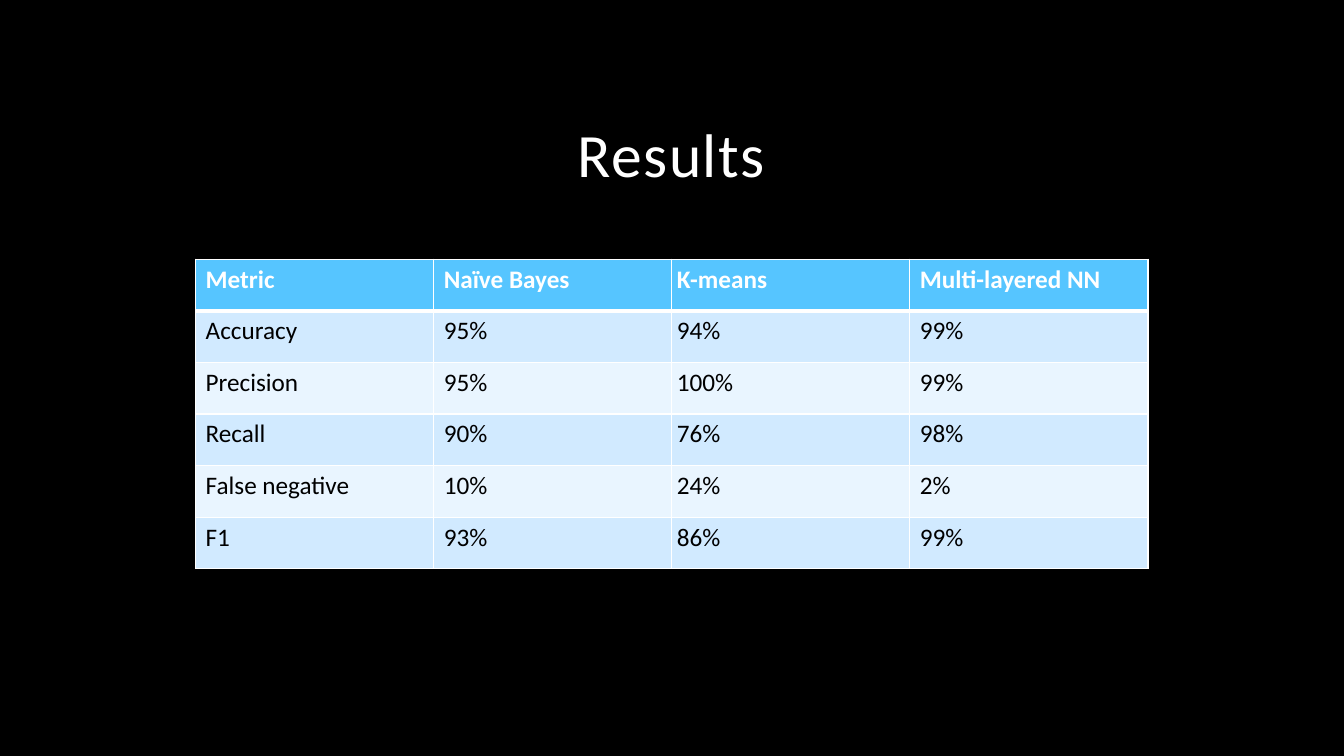
import pptx
import pptx.dml.color
import pptx.enum.text
import pptx.oxml.ns
import pptx.util
from lxml import etree

Cm = pptx.util.Cm
Pt = pptx.util.Pt
RGBColor = pptx.dml.color.RGBColor

TITLE = "Results"
RESULTS = [
    ("Metric", "Naïve Bayes", "K-means", "Multi-layered NN"),
    ("Accuracy", "95%", "94%", "99%"),
    ("Precision", "95%", "100%", "99%"),
    ("Recall", "90%", "76%", "98%"),
    ("False negative", "10%", "24%", "2%"),
    ("F1", "93%", "86%", "99%"),
]
NARROW_MARGIN_COLUMN = 2

FONT = "Calibri"
BLACK = RGBColor(0x00, 0x00, 0x00)
WHITE = RGBColor(0xFF, 0xFF, 0xFF)
HEADER_BLUE = RGBColor(0x56, 0xC5, 0xFF)
BANDS = (RGBColor(0xE9, 0xF5, 0xFF), RGBColor(0xD1, 0xEA, 0xFF))

COLUMN_WIDTH = Cm(6)
ROW_HEIGHT = Cm(1.3)


def set_borders(cell, widths):
    """Draw white borders; widths maps the sides L, R, T, B to points."""
    properties = cell._tc.get_or_add_tcPr()
    for side, width in widths.items():
        line = etree.SubElement(properties, pptx.oxml.ns.qn(f"a:ln{side}"), w=str(Pt(width)))
        fill = etree.SubElement(line, pptx.oxml.ns.qn("a:solidFill"))
        etree.SubElement(fill, pptx.oxml.ns.qn("a:srgbClr"), val=str(WHITE))


def style_font(font, size, color, bold=False):
    font.name = FONT
    font.size = Pt(size)
    font.bold = bold
    font.color.rgb = color


def add_title(page):
    title = page.shapes.title
    title.left, title.top, title.width, title.height = Cm(4.22), Cm(1.12), Cm(25.4), Cm(3.81)
    title.text_frame.vertical_anchor = pptx.enum.text.MSO_ANCHOR.BOTTOM
    title.text_frame.text = TITLE
    para = title.text_frame.paragraphs[0]
    para.alignment = pptx.enum.text.PP_ALIGN.CENTER
    para.line_spacing = 0.9
    style_font(para.font, 44, WHITE)
    para.runs[0].font._element.set("spc", "100")


def add_results_table(page):
    row_count, column_count = len(RESULTS), len(RESULTS[0])
    table = page.shapes.add_table(
        row_count, column_count, Cm(4.93), Cm(6.53),
        COLUMN_WIDTH * column_count, ROW_HEIGHT * row_count).table
    for column in table.columns:
        column.width = COLUMN_WIDTH
    for row_index, values in enumerate(RESULTS):
        table.rows[row_index].height = ROW_HEIGHT
        is_header = row_index == 0
        for column_index, value in enumerate(values):
            cell = table.cell(row_index, column_index)
            cell.text = value
            if column_index == NARROW_MARGIN_COLUMN:
                cell.margin_left = cell.margin_right = Cm(0.13)
            set_borders(cell, {"L": 1, "R": 1,
                               "T": 3 if row_index == 1 else 1,
                               "B": 3 if is_header else 1})
            cell.fill.solid()
            cell.fill.fore_color.rgb = HEADER_BLUE if is_header else BANDS[row_index % 2]
            style_font(cell.text_frame.paragraphs[0].font, 18,
                       WHITE if is_header else BLACK, is_header)


def main():
    deck = pptx.Presentation()
    deck.slide_width, deck.slide_height = Cm(33.87), Cm(19.05)
    page = deck.slides.add_slide(deck.slide_layouts[5])
    page.background.fill.solid()
    page.background.fill.fore_color.rgb = BLACK
    add_title(page)
    add_results_table(page)
    deck.save("out.pptx")


if __name__ == "__main__":
    main()
